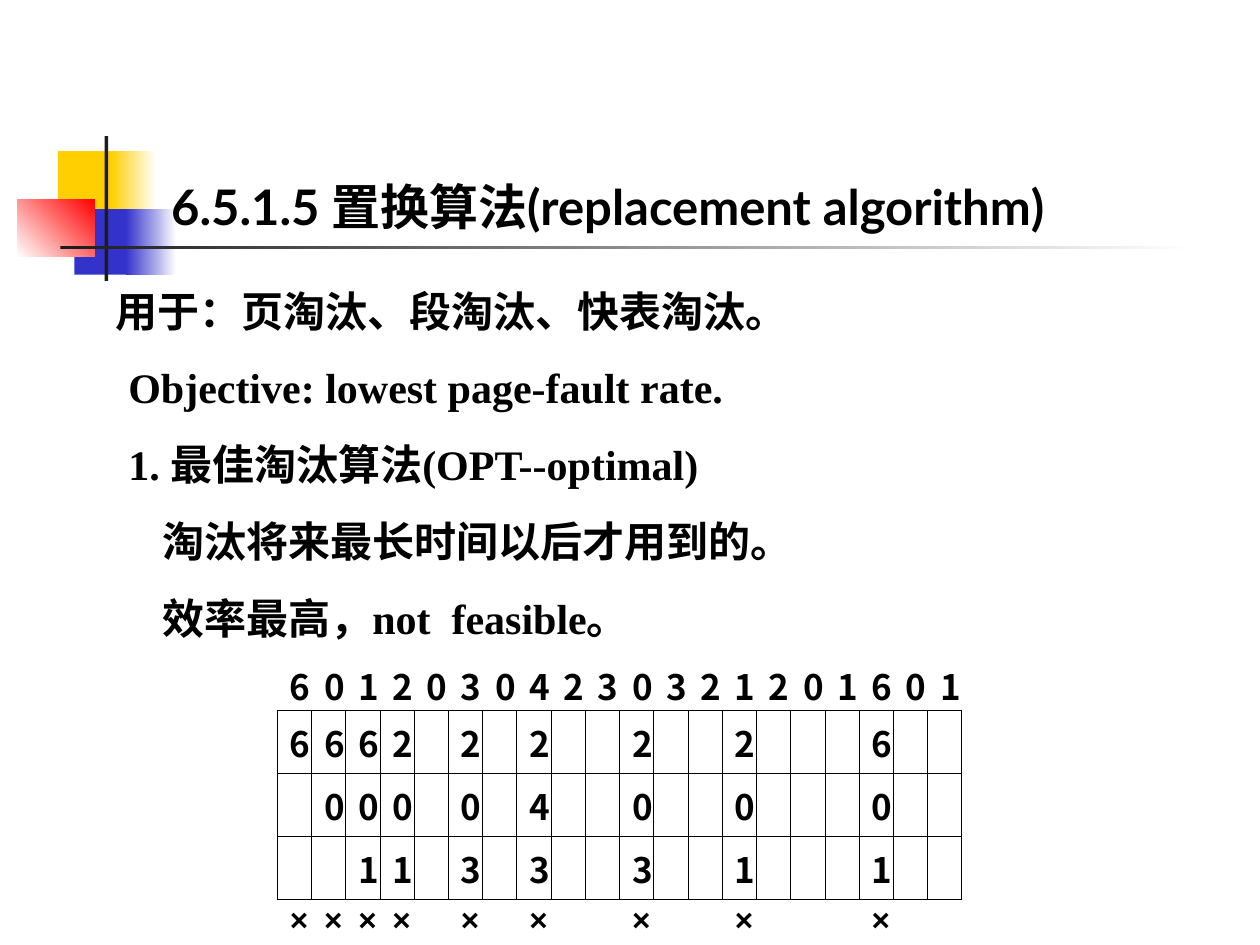
from lxml import etree
from pptx import Presentation
from pptx.dml.color import RGBColor
from pptx.enum.shapes import MSO_SHAPE
from pptx.enum.text import MSO_ANCHOR
from pptx.oxml.ns import qn
from pptx.util import Inches, Pt

RECT = MSO_SHAPE.RECTANGLE
BOTTOM = MSO_ANCHOR.BOTTOM
BLACK = RGBColor(0, 0, 0)
WHITE = RGBColor(255, 255, 255)
GOLD = RGBColor(0xFF, 0xCF, 0x01)
BLUE = RGBColor(0x33, 0x33, 0xCC)
RED = RGBColor(255, 0, 0)
DARK = RGBColor(0x1C, 0x1C, 0x1C)
HAN = "Noto Sans CJK SC"
UNIT = Inches(0.1)
COLS, ROWS = 100, 75

DECOR = [
    ((4.6, 12, 4.8, 5.2), [GOLD], 0),
    ((8.8, 12, 3.6, 5.2), [GOLD, WHITE], 0),
    ((5.9, 16.6, 4.6, 5.2), [BLUE], 0),
    ((10, 16.6, 4, 5.2), [BLUE, WHITE], 0),
    ((1.4, 15.8, 6.1, 4.6), [WHITE, RED], 45),
    ((8.3, 10.8, 0.3, 11.5), [DARK], 0),
    ((4.8, 19.5, 90, 0.3), [DARK, WHITE], 0),
]
BODY = [
    ("用于：页淘汰、段淘汰、快表淘汰。", 2.3),
    ("Objective: lowest page-fault rate.", 3.3),
    ("1. 最佳淘汰算法(OPT--optimal)", 3.3),
    ("淘汰将来最长时间以后才用到的。", 6),
    ("效率最高，not  feasible。", 6),
]
FRAMES = [
    ("60120304230321201601", 4.3, "B"),
    ("6662.2.2..2..2...6..", 5, "LRTB"),
    (".000.0.4..0..0...0..", 5, "LRTB"),
    ("..11.3.3..3..1...1..", 5, "LRTB"),
    ("××××.×.×..×..×...×..", 3.6, "T"),
]


def span(*parts):
    """Turn grid units into lengths."""
    return [round(part * UNIT) for part in parts]


def style(para, font, size):
    """Format every run of a paragraph in bold black."""
    for run in para.runs:
        run.font.name = font
        run.font.size = Pt(size)
        run.font.bold = True
        run.font.color.rgb = BLACK
        etree.SubElement(run.font._element, qn("a:ea"), typeface=HAN)


def add_block(slide, area, tones, angle):
    """Draw a borderless block in one colour or a fade of two."""
    block = slide.shapes.add_shape(RECT, *span(*area))
    block.shadow.inherit = False
    block.line.fill.background()
    if len(tones) == 1:
        block.fill.solid()
        block.fill.fore_color.rgb = tones[0]
        return
    block.fill.gradient()
    block.fill.gradient_angle = angle
    for stop, tone in zip(block.fill.gradient_stops, tones):
        stop.color.rgb = tone


def add_text(slide, area):
    """Add a wrapping text box and return its frame."""
    frame = slide.shapes.add_textbox(*span(*area)).text_frame
    frame.word_wrap = True
    return frame


def add_title(slide, text):
    """Write the heading above the rule."""
    frame = add_text(slide, (12.6, 6.7, 85.2, 12.5))
    frame.vertical_anchor = BOTTOM
    frame.text = text
    style(frame.paragraphs[0], "Lato", 28)


def add_body(slide, lines):
    """Write the indented lines below the rule."""
    top = 22.1
    frame = add_text(slide, (5.9, top, 90, ROWS - top))
    for place, (text, indent) in enumerate(lines):
        para = frame.add_paragraph() if place else frame.paragraphs[0]
        para.text = text
        para.line_spacing = Pt(29)
        if place:
            para.space_before = Pt(15)
        para._p.get_or_add_pPr().set("marL", str(span(indent)[0]))
        style(para, "Times New Roman", 24)


def edge(cell, sides):
    """Draw the named sides of a cell and clear the others."""
    props = cell._tc.get_or_add_tcPr()
    for side in "LRTB":
        line = etree.SubElement(props, qn("a:ln" + side), w=str(Pt(0.45)))
        if side in sides:
            fill = etree.SubElement(line, qn("a:solidFill"))
            etree.SubElement(fill, qn("a:srgbClr"), val=str(BLACK))
        else:
            etree.SubElement(line, qn("a:noFill"))
    cell.fill.background()


def add_frames(slide, rows):
    """Build the page frame table from one string a row."""
    count = len(rows[0][0])
    high = sum(row[1] for row in rows)
    area = span(22, 52.1, 54.4, high)
    table = slide.shapes.add_table(len(rows), count, *area).table
    table.first_row = table.horz_banding = False
    for col in table.columns:
        col.width = area[2] // count
    for down, (marks, tall, sides) in enumerate(rows):
        table.rows[down].height = span(tall)[0]
        for over, mark in enumerate(marks):
            cell = table.cell(down, over)
            edge(cell, sides)
            if tall < 5:
                cell.margin_top, cell.margin_bottom = span(0.3, 0)
            if mark != ".":
                para = cell.text_frame.paragraphs[0]
                para.text = mark
                cross = mark == "×"
                style(para, "Arial" if cross else HAN, 18 if cross else 20)


def main():
    """Build and save the slide."""
    deck = Presentation()
    deck.slide_width, deck.slide_height = span(COLS, ROWS)
    slide = deck.slides.add_slide(deck.slide_layouts[6])
    for area, tones, angle in DECOR:
        add_block(slide, area, tones, angle)
    add_body(slide, BODY)
    add_frames(slide, FRAMES)
    add_title(slide, "6.5.1.5 置换算法(replacement algorithm)")
    deck.save("out.pptx")


if __name__ == "__main__":
    main()
